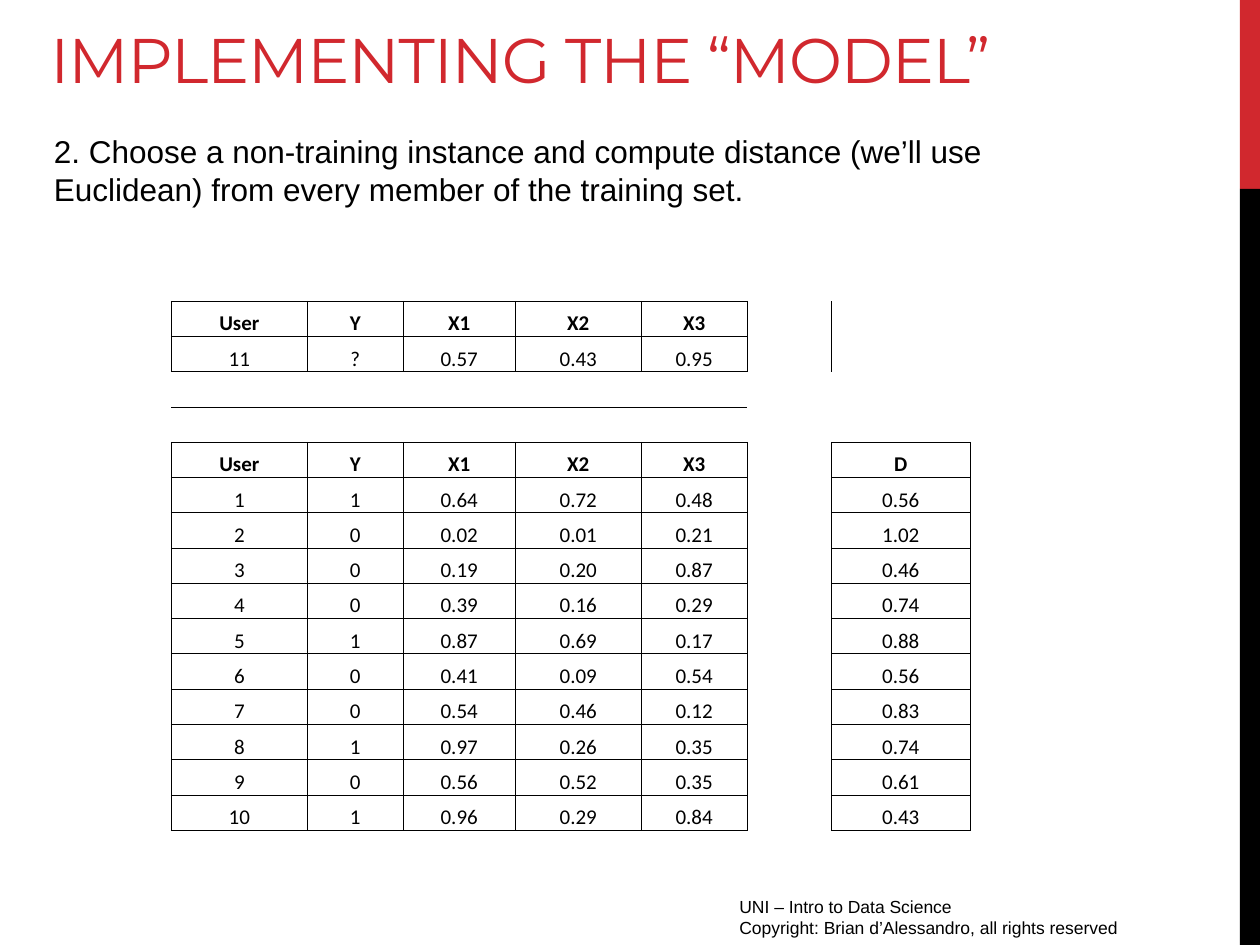
from dataclasses import dataclass

from lxml.etree import SubElement
from pptx import Presentation
from pptx.dml.color import RGBColor
from pptx.enum.shapes import MSO_SHAPE as Shape
from pptx.enum.text import MSO_ANCHOR as Anchor, PP_ALIGN as Align
from pptx.oxml.ns import qn
from pptx.util import Inches, Pt


@dataclass(frozen=True)
class Theme:
    """Colours, fonts and type sizes."""
    accent: str = "D1282E"
    ink: str = "000000"
    title_font: str = "Montserrat"
    text_font: str = "Arial"
    table_font: str = "Calibri"
    title_size: int = 36
    text_size: int = 18
    table_size: int = 12
    footer_size: int = 10
    rule: float = 0.5
    plain_table: str = "{2D5ABB26-0587-4C30-8999-92F81FD0307C}"


class SlideBuilder:
    """Adds styled elements to one slide."""

    edges = {"a:lnL": (0, -1), "a:lnR": (0, 1), "a:lnT": (-1, 0), "a:lnB": (1, 0)}

    def __init__(self, page, theme):
        self.page = page
        self.theme = theme

    def style(self, para, font, size, color, bold=False):
        """Set the font of a paragraph."""
        para.font.name = font
        para.font.size = Pt(size)
        para.font.bold = bold
        para.font.color.rgb = RGBColor.from_string(color)

    def title(self, text, left, top, width, height):
        """Fill and place the title placeholder."""
        box = self.page.shapes.title
        box.left, box.top = Inches(left), Inches(top)
        box.width, box.height = Inches(width), Inches(height)
        frame = box.text_frame
        frame.text = text
        frame.vertical_anchor = Anchor.BOTTOM
        para = frame.paragraphs[0]
        para.alignment = Align.LEFT
        self.style(para, self.theme.title_font, self.theme.title_size, self.theme.accent)
        para.runs[0]._r.get_or_add_rPr().set("spc", "-60")

    def text(self, lines, left, top, width, height, size):
        """Add a wrapped text box with one paragraph per line."""
        box = self.page.shapes.add_textbox(
            Inches(left), Inches(top), Inches(width), Inches(height))
        frame = box.text_frame
        frame.word_wrap = True
        frame.text = "\n".join(lines)
        for para in frame.paragraphs:
            self.style(para, self.theme.text_font, size, self.theme.ink)

    def bar(self, left, top, width, height, color):
        """Add a solid rectangle without outline."""
        bar = self.page.shapes.add_shape(
            Shape.RECTANGLE, Inches(left), Inches(top), Inches(width), Inches(height))
        bar.shadow.inherit = False
        bar.fill.solid()
        bar.fill.fore_color.rgb = RGBColor.from_string(color)
        bar.line.fill.background()

    def border(self, cell, edge):
        """Draw one edge of a table cell."""
        line = SubElement(cell._tc.get_or_add_tcPr(), qn(edge), w=str(Pt(self.theme.rule)))
        fill = SubElement(line, qn("a:solidFill"))
        SubElement(fill, qn("a:srgbClr"), val=self.theme.ink)

    def cell(self, cell, value):
        """Write one table cell; text headings are bold."""
        cell.margin_left = cell.margin_right = cell.margin_top = Inches(0.01)
        cell.margin_bottom = 0
        cell.vertical_anchor = Anchor.BOTTOM
        cell.text = value
        para = cell.text_frame.paragraphs[0]
        para.alignment = Align.CENTER
        self.style(para, self.theme.table_font, self.theme.table_size,
                   self.theme.ink, value[:1].isalpha())
        if not value:
            SubElement(para._p, qn("a:endParaRPr"), sz=str(self.theme.table_size * 100))

    def table(self, rows, left, top, widths, height):
        """Add a table whose filled cells are boxed and whose blanks stay open."""
        frame = self.page.shapes.add_table(
            len(rows), len(widths), Inches(left), Inches(top),
            Inches(sum(widths)), Inches(height))
        table = frame.table
        table.first_row = table.horz_banding = False
        table._tbl.tblPr.find(qn("a:tableStyleId")).text = self.theme.plain_table
        for column, width in zip(table.columns, widths):
            column.width = Inches(width)
        filled = {(r, c) for r, row in enumerate(rows) for c, value in enumerate(row) if value}
        for r, row in enumerate(rows):
            table.rows[r].height = Inches(height / len(rows))
            for c, value in enumerate(row):
                cell = table.cell(r, c)
                self.cell(cell, value)
                for edge, (down, across) in self.edges.items():
                    if filled & {(r, c), (r + down, c + across)}:
                        self.border(cell, edge)
                cell.fill.background()


HEADINGS = ["User", "Y", "X1", "X2", "X3"]
NEW_USER = ["11", "?", "0.57", "0.43", "0.95"]
TRAINING = [
    ("1", "0.64", "0.72", "0.48", "0.56"),
    ("0", "0.02", "0.01", "0.21", "1.02"),
    ("0", "0.19", "0.20", "0.87", "0.46"),
    ("0", "0.39", "0.16", "0.29", "0.74"),
    ("1", "0.87", "0.69", "0.17", "0.88"),
    ("0", "0.41", "0.09", "0.54", "0.56"),
    ("0", "0.54", "0.46", "0.12", "0.83"),
    ("1", "0.97", "0.26", "0.35", "0.74"),
    ("0", "0.56", "0.52", "0.35", "0.61"),
    ("1", "0.96", "0.29", "0.84", "0.43"),
]
COLUMN_WIDTHS = [1.08, 0.76, 0.89, 1, 0.84, 0.67, 1.1]


def main():
    """Build the slide and save the deck."""
    theme = Theme()
    deck = Presentation()
    deck.slide_width, deck.slide_height = Inches(10), Inches(7.5)
    slide = SlideBuilder(deck.slides.add_slide(deck.slide_layouts[5]), theme)

    slide.bar(9.84, 0, 0.16, 1.5, theme.accent)
    slide.bar(9.84, 1.5, 0.16, 6, theme.ink)
    slide.text(["UNI – Intro to Data Science",
                "Copyright: Brian d’Alessandro, all rights reserved"],
               5.77, 7.06, 3.75, 0.31, theme.footer_size)
    slide.title("IMPLEMENTING THE “MODEL”", 0.3, 0.07, 8.71, 0.74)
    slide.text(["2. Choose a non-training instance and compute distance (we’ll use "
                "Euclidean) from every member of the training set."],
               0.33, 1, 8.46, 0.71, theme.text_size)

    blank = [""] * len(COLUMN_WIDTHS)
    rows = [HEADINGS + ["", ""], NEW_USER + ["", ""], blank, blank, HEADINGS + ["", "D"]]
    for user, (*values, distance) in enumerate(TRAINING, start=1):
        rows.append([str(user), *values, "", distance])
    slide.table(rows, 1.36, 2.39, COLUMN_WIDTHS, 4.2)

    deck.save("out.pptx")


if __name__ == "__main__":
    main()
